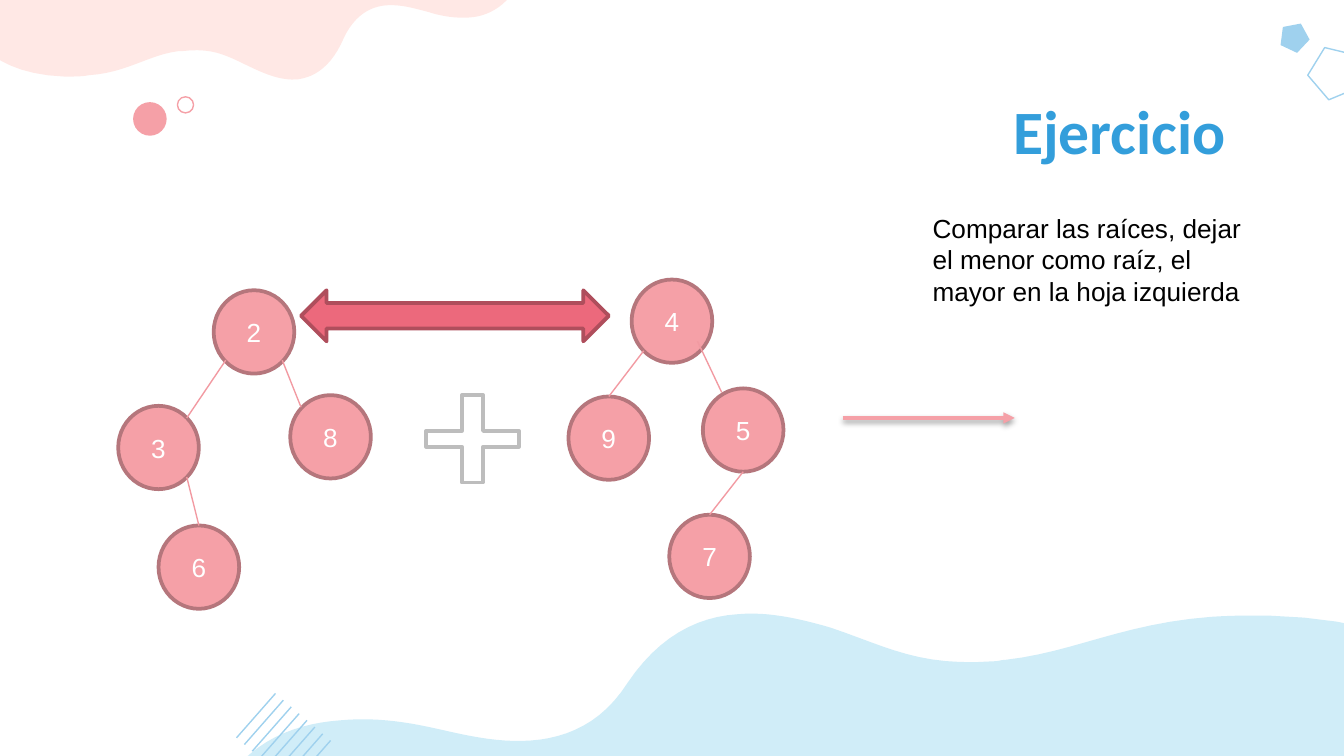
from lxml import etree
from pptx import Presentation
from pptx import util as u
from pptx.dml import color
from pptx.enum import shapes, text
from pptx.oxml import ns

PINK, ROSE, RIM, EDGE = "F5A0A7", "EC697C", "B5767C", "F29AA2"
SKY, ICE, BLUSH, WHITE = "9FD1EE", "D0EDF8", "FFE8E5", "FFFFFF"
KIND = shapes.MSO_SHAPE
SIZE = 0.6, 0.62


def hue(code):
    return color.RGBColor.from_string(code)


def write(frame, words, size=14, font="Arial", ink="000000", bold=False, inset=0.05,
          align=text.PP_ALIGN.LEFT, anchor=text.MSO_ANCHOR.TOP):
    frame.word_wrap = True
    frame.vertical_anchor = anchor
    frame.margin_top = frame.margin_bottom = u.Inches(inset)
    para = frame.paragraphs[0]
    para.alignment = align
    run = para.add_run()
    run.text = words
    run.font.size = u.Pt(size)
    run.font.name = font
    run.font.bold = bold
    run.font.color.rgb = hue(ink)


def curve(chain, steps=12):
    dots = [chain[0]]
    for i in range(0, len(chain) - 1, 3):
        a, b, c, d = chain[i:i + 4]
        for n in range(1, steps + 1):
            t = n / steps
            s = 1 - t
            dots.append(tuple(s**3 * p + 3 * s * s * t * q + 3 * s * t * t * r + t**3 * e
                              for p, q, r, e in zip(a, b, c, d)))
    return dots


class Page:
    def __init__(self, deck):
        self.slide = deck.slides.add_slide(deck.slide_layouts[6])
        self.items = self.slide.shapes

    def paint(self, item, fill, rim, width):
        item.shadow.inherit = False
        if fill:
            item.fill.solid()
            item.fill.fore_color.rgb = hue(fill)
        else:
            item.fill.background()
        if rim:
            item.line.color.rgb = hue(rim)
            item.line.width = u.Pt(width)
        else:
            item.line.fill.background()

    def shape(self, kind, box, fill=None, rim=None, width=2, turn=0):
        item = self.items.add_shape(kind, *map(u.Inches, box))
        item.rotation = turn
        self.paint(item, fill, rim, width)
        return item

    def wave(self, start, chain, end, fill):
        dots = [tuple(map(u.Inches, dot)) for dot in [start, *curve(chain), end]]
        form = self.items.build_freeform(*dots[0])
        form.add_line_segments(dots[1:], close=True)
        self.paint(form.convert_to_shape(), fill, None, 0)

    def ball(self, label, left, top):
        item = self.shape(KIND.OVAL, (left, top, *SIZE), PINK, RIM)
        write(item.text_frame, label, ink=WHITE, align=text.PP_ALIGN.CENTER,
              anchor=text.MSO_ANCHOR.MIDDLE)
        return item

    def line(self, start, end, ink=EDGE, width=0.75, child=None):
        item = self.items.add_connector(shapes.MSO_CONNECTOR.STRAIGHT,
                                        *map(u.Inches, (*start, *end)))
        if child is not None:
            item.end_connect(child, 0)
        item.line.color.rgb = hue(ink)
        item.line.width = u.Pt(width)
        etree.SubElement(item._element.spPr, ns.qn("a:effectLst"))
        return item

    def arrow(self, start, end, ink):
        props = self.line(start, end, ink, 2)._element.spPr
        etree.SubElement(props.find(ns.qn("a:ln")), ns.qn("a:tailEnd"), type="triangle")
        shade = etree.SubElement(props.find(ns.qn("a:effectLst")), ns.qn("a:outerShdw"),
                                 blurRad=str(u.Pt(3.1)), dist=str(u.Pt(1.6)),
                                 dir="5400000", rotWithShape="0")
        tone = etree.SubElement(shade, ns.qn("a:srgbClr"), val="000000")
        etree.SubElement(tone, ns.qn("a:alpha"), val="38000")

    def note(self, box, words, **style):
        write(self.items.add_textbox(*map(u.Inches, box)).text_frame, words, **style)


def main():
    deck = Presentation()
    deck.slide_width, deck.slide_height = u.Inches(10), u.Inches(10 * 9 / 16)
    page = Page(deck)

    page.wave((10.92, 5.63), [
        (10.88, 5.05), (10.88, 5.05), (10.6, 4.61), (9.43, 4.58),
        (9.28, 4.58), (9.14, 4.58), (9.01, 4.59), (8.35, 4.64), (8, 4.85), (7.48, 4.91),
        (7.45, 4.91), (7.43, 4.92), (7.4, 4.92), (6.84, 4.96), (6.62, 4.82), (6.18, 4.67),
        (5.94, 4.6), (5.71, 4.55), (5.49, 4.57), (5.18, 4.59), (4.9, 4.74), (4.67, 5.08),
        (4.48, 5.38), (4.22, 5.49), (3.95, 5.51), (3.69, 5.53), (3.42, 5.46), (3.24, 5.42),
        (3.1, 5.39), (2.83, 5.33), (2.53, 5.36), (2.25, 5.38), (1.96, 5.47), (1.74, 5.73),
    ], (1.79, 6.34), ICE)
    page.wave((-0.2, -0.05), [
        (-0.17, 0.29), (-0.17, 0.29), (-0.04, 0.55), (0.48, 0.57),
        (0.55, 0.57), (0.61, 0.57), (0.66, 0.56), (0.95, 0.54), (1.1, 0.41), (1.33, 0.38),
        (1.34, 0.38), (1.35, 0.38), (1.36, 0.38), (1.61, 0.35), (1.71, 0.43), (1.91, 0.52),
        (2.02, 0.57), (2.12, 0.6), (2.22, 0.59), (2.35, 0.57), (2.47, 0.49), (2.56, 0.28),
        (2.64, 0.11), (2.76, 0.05), (2.87, 0.04), (2.99, 0.03), (3.11, 0.07), (3.19, 0.09),
        (3.25, 0.11), (3.37, 0.14), (3.5, 0.13), (3.62, 0.12), (3.75, 0.06), (3.84, -0.09),
    ], (3.81, -0.44), BLUSH)

    page.shape(KIND.OVAL, (0.99, 0.76, 0.25, 0.25), PINK)
    page.shape(KIND.OVAL, (1.32, 0.72, 0.12, 0.12), rim=PINK, width=0.75)
    page.shape(KIND.REGULAR_PENTAGON, (9.51, 0.18, 0.22, 0.21), SKY, turn=241.3)
    page.shape(KIND.REGULAR_PENTAGON, (9.72, 0.36, 0.39, 0.37), rim=SKY, width=0.75, turn=265.5)
    for i in range(8):
        left, top = 1.76 + 0.41 * i / 7, 5.49 + 0.35 * i / 7
        page.line((left, top), (left + 0.29, top - 0.33), SKY)

    page.note((4.78, 0.59, 4.44, 1.02), "Ejercicio", size=33, font="Calibri",
              ink="339EDB", bold=True, inset=0.1, align=text.PP_ALIGN.RIGHT)

    spots = {"2": (1.59, 2.16), "3": (0.88, 3.02), "8": (2.16, 2.94), "6": (1.18, 3.91),
             "4": (4.7, 2.08), "9": (4.23, 2.95), "5": (5.23, 2.89), "7": (4.98, 3.83)}
    balls = {label: page.ball(label, *spot) for label, spot in spots.items()}
    for start, end, child in [
        ((1.68, 2.68), (1.39, 3.11), None),
        ((2.1, 2.68), (2.24, 3.03), None),
        ((1.39, 3.55), (1.48, 3.91), "6"),
        ((4.79, 2.61), (4.53, 2.95), "9"),
        ((5.37, 2.92), (5.19, 2.54), None),
        ((5.53, 3.51), (5.28, 3.83), "7"),
    ]:
        page.line(start, end, child=balls.get(child))

    plus = page.shape(KIND.CROSS, (3.17, 2.94, 0.69, 0.65), WHITE, "BDBDBD")
    plus.adjustments[0] = 0.41
    page.arrow((6.27, 3.11), (7.55, 3.11), PINK)
    page.shape(KIND.LEFT_RIGHT_ARROW, (2.24, 2.16, 2.29, 0.38), ROSE, "AF4E5C")
    page.note((6.84, 1.53, 2.58, 0.81),
              "Comparar las raíces, dejar el menor como raíz, el mayor en la hoja izquierda")
    deck.save("out.pptx")


if __name__ == "__main__":
    main()
